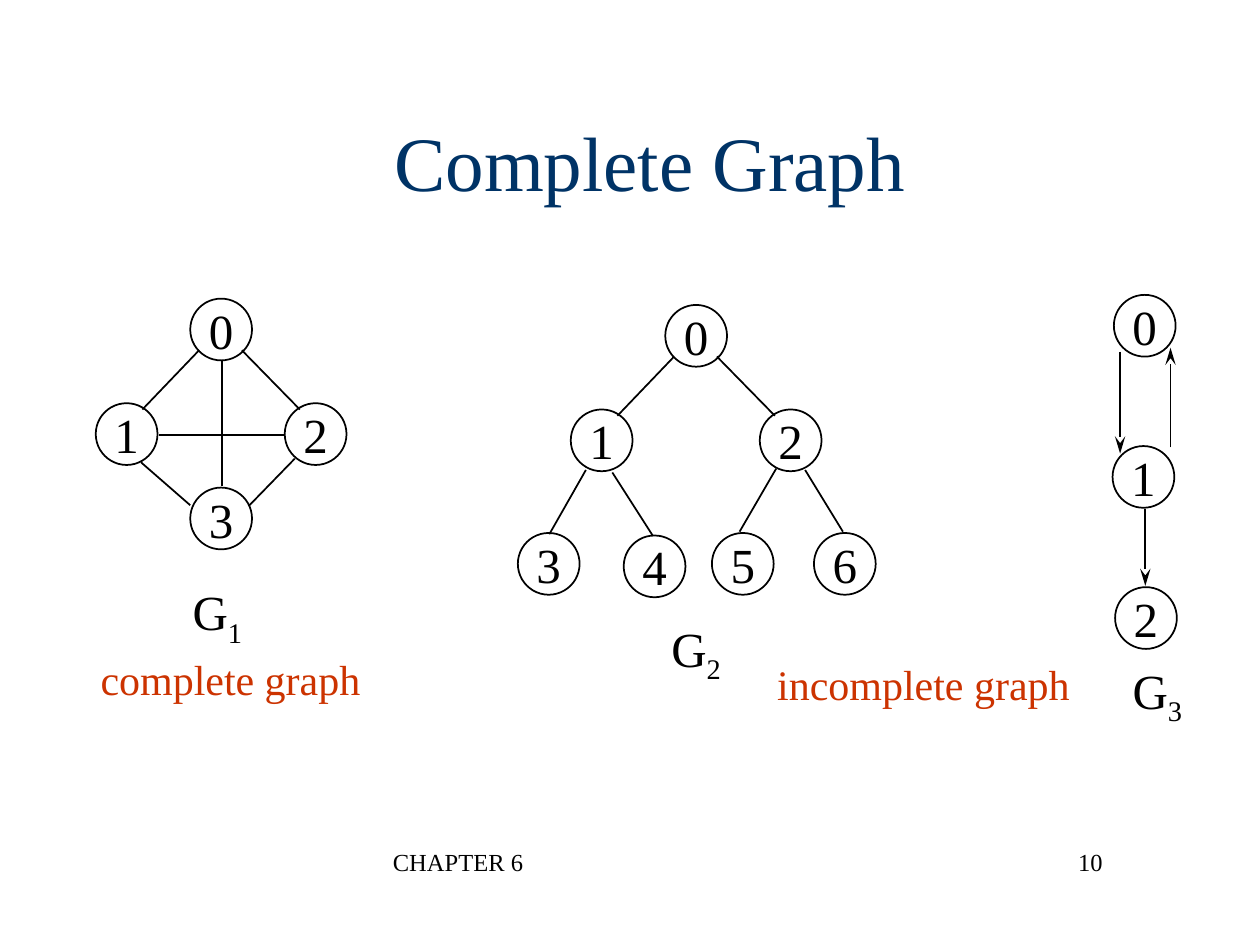
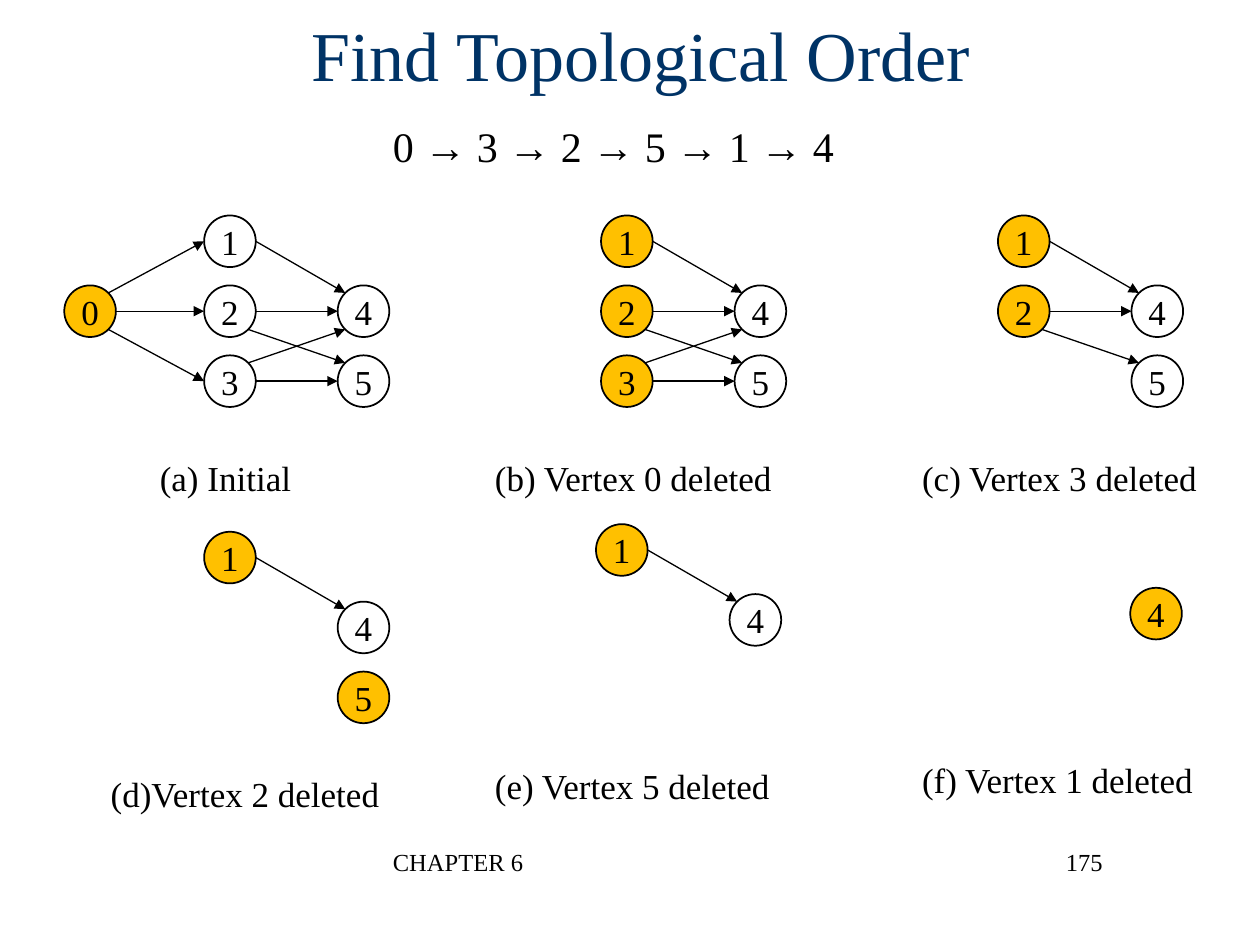
from collections import namedtuple
from math import cos, radians, sin

from lxml import etree
from pptx import Presentation
from pptx.dml.color import RGBColor
from pptx.enum.shapes import MSO_CONNECTOR, MSO_SHAPE
from pptx.enum.text import MSO_ANCHOR, PP_ALIGN
from pptx.oxml.ns import qn
from pptx.util import Inches, Pt

LINE, OVAL = MSO_CONNECTOR.STRAIGHT, MSO_SHAPE.OVAL
TOP, MIDDLE = MSO_ANCHOR.TOP, MSO_ANCHOR.MIDDLE
LEFT, CENTER, RIGHT = PP_ALIGN.LEFT, PP_ALIGN.CENTER, PP_ALIGN.RIGHT

BLACK = RGBColor(0x00, 0x00, 0x00)
WHITE = RGBColor(0xFF, 0xFF, 0xFF)
NAVY = RGBColor(0x00, 0x33, 0x66)
RED = RGBColor(0xCC, 0x33, 0x00)
AMBER = RGBColor(0xFF, 0xC0, 0x00)
FONT = "Times New Roman"
STEALTH = {"type": "stealth", "len": "lg"}
TRIANGLE = {"type": "triangle"}

COLUMNS, ROWS = 10, 7.5
CELL = Inches(1)

Box = namedtuple("Box", "x y w h")
Graph = namedtuple("Graph", "x y nodes edges arrow label_at")

GRAPH_NODE = 0.49
GRAPHS = [
    Graph(0.76, 2.37,
          [(0.75, 0), (0, 0.83), (1.5, 0.83), (0.75, 1.5)],
          [(1, 0.49, 1, 1.49), (0.5, 1.08, 1.5, 1.08),
           (0.82, 0.41, 0.37, 0.88), (1.16, 0.41, 1.62, 0.88),
           (0.36, 1.3, 0.75, 1.64), (1.58, 1.27, 1.22, 1.64)],
          None, (0.67, 2.2)),
    Graph(4.11, 2.42,
          [(1.17, 0), (0.42, 0.83), (1.92, 0.83), (0, 1.81),
           (0.84, 1.83), (1.54, 1.81), (2.35, 1.81)],
          [(1.24, 0.41, 0.79, 0.88), (1.58, 0.41, 2.04, 0.88),
           (0.54, 1.31, 0.25, 1.82), (0.75, 1.33, 1.07, 1.83),
           (2.05, 1.3, 1.76, 1.8), (2.28, 1.31, 2.58, 1.8)],
          None, (1.12, 2.44)),
    Graph(8.83, 2.34,
          [(0.01, 0), (0, 1.2), (0.02, 2.32)],
          [(0.26, 1.7, 0.26, 2.31), (0.46, 1.21, 0.46, 0.42),
           (0.06, 0.45, 0.06, 1.26)],
          STEALTH, (0.06, 2.85)),
]

ORDER = [0, 3, 2, 5, 1, 4]
VERTEX = 0.41
STEP_X, STEP_Y = (0, 1.11, 2.17), 0.555
VERTEX_SLOTS = {0: (0, 1), 1: (1, 0), 2: (1, 1), 3: (1, 2), 4: (2, 1), 5: (2, 2)}
ANGLES = {"E": 0, "SE": 45, "SW": 135, "W": 180, "NW": 225, "NE": 315}
ARCS = [(0, "NE", 1, "W"), (0, "E", 2, "W"), (0, "SE", 3, "W"),
        (1, "E", 4, "NW"), (2, "E", 4, "W"), (2, "SE", 5, "NW"),
        (3, "NE", 4, "SW"), (3, "E", 5, "W")]
CAPTION_DROP = 1.86
STAGES = [
    (0.51, 1.71, 0.66, "(a) Initial"),
    (3.66, 1.71, 0.17, "(b) Vertex 0 deleted"),
    (6.81, 1.71, 0.41, "(c) Vertex 3 deleted"),
    (0.51, 4.22, 0.27, "(d)Vertex 2 deleted"),
    (3.62, 4.16, 0.21, "(e) Vertex 5 deleted"),
    (6.8, 4.11, 0.42, "(f) Vertex 1 deleted"),
]


def cells(*values):
    """Turn grid lengths into slide units."""
    return [int(v * CELL) for v in values]


def style_run(r, size, color):
    """Set the font of one run."""
    r.font.name, r.font.size, r.font.color.rgb = FONT, Pt(size), color


def write(sp, text, size, color=BLACK, align=LEFT, anchor=TOP, wrap=True):
    """Write one styled line into a shape and return its paragraph."""
    tf = sp.text_frame
    tf.text = text
    tf.word_wrap, tf.vertical_anchor = wrap, anchor
    p = tf.paragraphs[0]
    p.alignment = align
    style_run(p.runs[0], size, color)
    return p


def add_text(shapes, box, text, size, **look):
    """Add a text box and return its paragraph."""
    return write(shapes.add_textbox(*cells(*box)), text, size, **look)


def add_node(shapes, x, y, diameter, text, size, fill=WHITE):
    """Add a numbered circle."""
    sp = shapes.add_shape(OVAL, *cells(x, y, diameter, diameter))
    sp.shadow.inherit = False
    sp.fill.solid()
    sp.fill.fore_color.rgb = fill
    sp.line.color.rgb, sp.line.width = BLACK, Pt(1)
    write(sp, text, size, align=CENTER, anchor=MIDDLE, wrap=False)


def add_edge(shapes, ends, width, arrow=None):
    """Add a straight edge, with an arrowhead if one is given."""
    c = shapes.add_connector(LINE, *cells(*ends))
    c.line.color.rgb, c.line.width = BLACK, Pt(width)
    if arrow:
        etree.SubElement(c.line._get_or_add_ln(), qn("a:tailEnd"), arrow)
    etree.SubElement(c._element.spPr, qn("a:effectLst"))


def add_frame(prs, title, title_box, title_size, number):
    """Add a slide with its title and footer."""
    s = prs.slides.add_slide(prs.slide_layouts[6])
    add_text(s.shapes, title_box, title, title_size, color=NAVY,
             align=CENTER, anchor=MIDDLE)
    add_text(s.shapes, Box(3.02, 6.67, 3.17, 0.5), "CHAPTER 6", 14)
    add_text(s.shapes, Box(6.77, 6.67, 2.08, 0.5), number, 14, align=RIGHT)
    return s


def add_graph(s, graph, index):
    """Draw a graph and its subscripted name from the graph's corner."""
    shapes = s.shapes.add_group_shape().shapes
    x, y = graph.x, graph.y
    for n, (dx, dy) in enumerate(graph.nodes):
        add_node(shapes, x + dx, y + dy, GRAPH_NODE, str(n), 28)
    for x1, y1, x2, y2 in graph.edges:
        add_edge(shapes, (x + x1, y + y1, x + x2, y + y2), 1, graph.arrow)
    dx, dy = graph.label_at
    p = add_text(shapes, Box(x + dx, y + dy, 0.62, 0.57), "G", 28, wrap=False)
    r = p.add_run()
    r.text = str(index)
    style_run(r, 28, BLACK)
    r._r.get_or_add_rPr().set("baseline", "-25000")


def rim_point(x, y, vertex, side):
    """Return the point on a vertex's rim that faces a side."""
    column, row = VERTEX_SLOTS[vertex]
    radius, angle = VERTEX / 2, radians(ANGLES[side])
    return (x + STEP_X[column] + radius * (1 + cos(angle)),
            y + row * STEP_Y + radius * (1 + sin(angle)))


def add_stage(s, x, y, caption_dx, caption, alive):
    """Draw the remaining vertices, highlighting those without predecessors."""
    shapes = s.shapes.add_group_shape().shapes
    arcs = [a for a in ARCS if a[0] in alive and a[2] in alive]
    blocked = {a[2] for a in arcs}
    for v in sorted(alive):
        column, row = VERTEX_SLOTS[v]
        add_node(shapes, x + STEP_X[column], y + row * STEP_Y, VERTEX, str(v),
                 20, WHITE if v in blocked else AMBER)
    for start, side, end, end_side in arcs:
        ends = rim_point(x, y, start, side) + rim_point(x, y, end, end_side)
        add_edge(shapes, ends, 0.75, TRIANGLE)
    add_text(s.shapes, Box(x + caption_dx, y + CAPTION_DROP, 2.6, 0.45),
             caption, 20)


def complete_graph_slide(prs):
    """Build the slide that compares complete and incomplete graphs."""
    s = add_frame(prs, "Complete Graph", Box(0.59, 0.65, 9.14, 1.25), 44, "10")
    for index, graph in enumerate(GRAPHS, 1):
        add_graph(s, graph, index)
    for text, box in (("complete graph", Box(0.53, 5.14, 2.6, 0.5)),
                      ("incomplete graph", Box(5.93, 5.18, 2.8, 0.5))):
        add_text(s.shapes, box, text, 24, color=RED, align=CENTER,
                 anchor=MIDDLE)


def topological_order_slide(prs):
    """Build the slide that removes vertices one by one."""
    s = add_frame(prs, "Find Topological Order", Box(0.51, -0.2, 9.15, 1.25),
                  40, "175")
    add_text(s.shapes, Box(3.02, 0.91, 3.98, 0.5),
             " → ".join(map(str, ORDER)), 24)
    for removed, stage in enumerate(STAGES):
        add_stage(s, *stage, ORDER[removed:])


def main():
    """Build and save the presentation."""
    prs = Presentation()
    prs.slide_width, prs.slide_height = cells(COLUMNS, ROWS)
    complete_graph_slide(prs)
    topological_order_slide(prs)
    prs.save("out.pptx")


if __name__ == "__main__":
    main()
